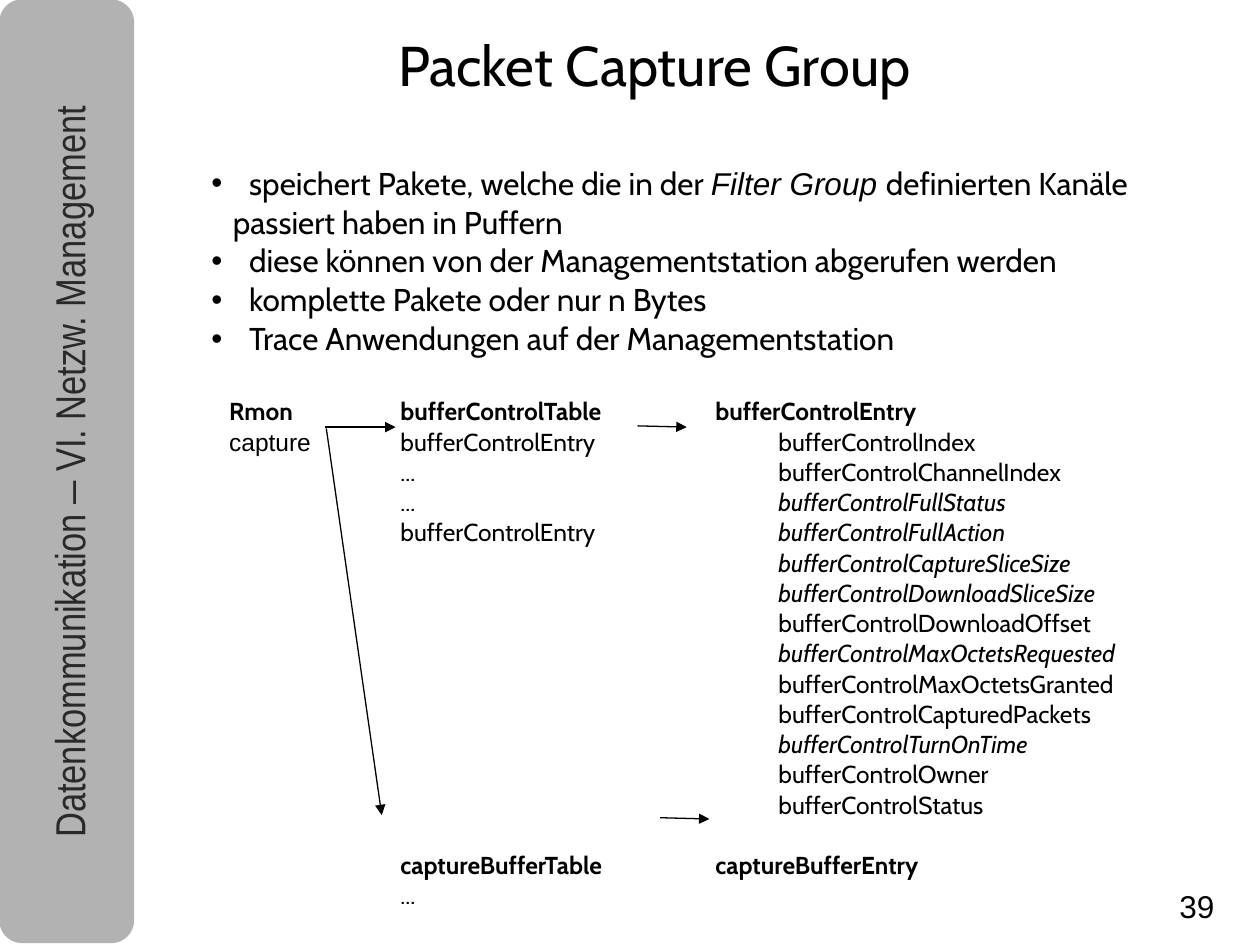
from dataclasses import dataclass

from lxml.etree import SubElement
from pptx import Presentation
from pptx.dml.color import RGBColor
from pptx.enum.shapes import MSO_CONNECTOR as Connector, MSO_SHAPE as Shape
from pptx.enum.text import MSO_ANCHOR as Anchor, PP_ALIGN as Align
from pptx.oxml.ns import qn
from pptx.util import Inches, Pt


@dataclass(frozen=True)
class Theme:
    """Colours, fonts and type sizes of the slide."""
    text: RGBColor = RGBColor(0x00, 0x00, 0x00)
    sidebar: RGBColor = RGBColor(0xB2, 0xB2, 0xB2)
    sidebar_text: RGBColor = RGBColor(0x29, 0x29, 0x29)
    font: str = "Cabin"
    plain_font: str = "Arial"
    narrow_font: str = "Arial Narrow"
    title_size: int = 32
    sidebar_size: int = 24
    body_size: int = 18
    row_size: int = 14
    line_width: float = 0.74
    line_spacing: float = 1.03


class SlideBuilder:
    """Adds styled elements to one slide."""

    def __init__(self, slide, theme):
        """Keep the slide and its theme."""
        self.slide = slide
        self.theme = theme

    def sidebar(self, left, top, width, height):
        """Add the rounded grey bar."""
        shape = self.slide.shapes.add_shape(
            Shape.ROUNDED_RECTANGLE, Inches(left), Inches(top), Inches(width), Inches(height))
        shape.shadow.inherit = False
        shape.fill.solid()
        shape.fill.fore_color.rgb = self.theme.sidebar
        shape.line.color.rgb = self.theme.sidebar
        shape.line.width = Pt(self.theme.line_width)

    def text_box(self, left, top, width, height, margins=(0.1, 0.05), anchor=Anchor.TOP):
        """Add an empty wrapping text box."""
        shape = self.slide.shapes.add_textbox(
            Inches(left), Inches(top), Inches(width), Inches(height))
        frame = shape.text_frame
        frame.word_wrap = True
        frame.vertical_anchor = anchor
        frame.margin_left = frame.margin_right = Inches(margins[0])
        frame.margin_top = frame.margin_bottom = Inches(margins[1])
        return shape

    def paragraph(self, shape, runs, size, font=None, color=None, align=Align.LEFT,
                  spacing=1.0, before=0):
        """Write runs of (text, font settings) into the next paragraph of a shape."""
        frame = shape.text_frame
        paragraph = frame.paragraphs[0]
        if paragraph.runs:
            paragraph = frame.add_paragraph()
        paragraph.alignment = align
        paragraph.line_spacing = spacing
        paragraph.space_before = Pt(before)
        paragraph.font.size = Pt(size)
        paragraph.font.name = font or self.theme.font
        paragraph.font.color.rgb = color or self.theme.text
        for text, settings in runs:
            run = paragraph.add_run()
            run.text = text
            # Runs repeat the paragraph font so that every viewer applies it.
            run.font.size = paragraph.font.size
            run.font.name = paragraph.font.name
            run.font.color.rgb = color or self.theme.text
            for name, value in settings.items():
                setattr(run.font, name, value)
        return paragraph

    def bullet(self, paragraph, indent):
        """Give a paragraph a round bullet with a hanging indent."""
        properties = paragraph._p.get_or_add_pPr()
        properties.set("marL", str(Inches(indent)))
        properties.set("indent", str(-Inches(indent)))
        SubElement(properties, qn("a:buFont"), typeface=self.theme.plain_font)
        SubElement(properties, qn("a:buChar"), char="•")
        self.settle(properties)

    def tab_stops(self, paragraph, stops):
        """Set left tab stops, in inches."""
        properties = paragraph._p.get_or_add_pPr()
        tabs = SubElement(properties, qn("a:tabLst"))
        for stop in stops:
            SubElement(tabs, qn("a:tab"), pos=str(Inches(stop)), algn="l")
        self.settle(properties)

    def settle(self, properties):
        """Move the default run properties to the end, where the schema wants them."""
        properties.append(properties.find(qn("a:defRPr")))

    def arrow(self, start, end):
        """Draw a thin line with an arrowhead at its end."""
        connector = self.slide.shapes.add_connector(
            Connector.STRAIGHT, *(Inches(value) for value in (*start, *end)))
        connector.line.color.rgb = self.theme.text
        connector.line.width = Pt(self.theme.line_width)
        SubElement(connector.line._get_or_add_ln(), qn("a:tailEnd"), type="triangle")
        SubElement(connector._element.spPr, qn("a:effectLst"))


BULLET_INDENT = 0.3
WRAP_INDENT = 0.17
COLUMNS = (0.14, 1.5, 4.0, 4.5)
ITALIC = {"italic": True}
BULLETS = (
    "diese können von der Managementstation abgerufen werden",
    "komplette Pakete oder nur n Bytes",
    "Trace Anwendungen auf der Managementstation",
)
# Group, table column, field name, whether the field is italic
ROWS = (
    ("capture", "bufferControlEntry", "Index", False),
    ("", "...", "ChannelIndex", False),
    ("", "...", "FullStatus", True),
    ("", "bufferControlEntry", "FullAction", True),
    ("", "", "CaptureSliceSize", True),
    ("", "", "DownloadSliceSize", True),
    ("", "", "DownloadOffset", False),
    ("", "", "MaxOctetsRequested", True),
    ("", "", "MaxOctetsGranted", False),
    ("", "", "CapturedPackets", False),
    ("", "", "TurnOnTime", True),
    ("", "", "Owner", False),
    ("", "", "Status", False),
)
ARROWS = (
    ((2.58, 3.39), (3.14, 3.39)),
    ((2.59, 3.4), (3.03, 6.47)),
    ((5.06, 3.38), (5.45, 3.39)),
    ((5.24, 6.49), (5.63, 6.5)),
)


def add_frame(builder):
    """Add sidebar, title and page number."""
    theme = builder.theme
    builder.sidebar(0, 0, 1.06, 7.48)
    label = builder.text_box(-2.93, 3.25, 7.48, 0.99)
    label.rotation = 270
    builder.paragraph(
        label,
        [("Datenkommunikation ", {}), ("–", {"name": theme.plain_font}),
         (" VI. Netzw. Management", {})],
        theme.sidebar_size, theme.narrow_font, theme.sidebar_text, Align.CENTER, 0.98)
    title = builder.text_box(2.89, 0.19, 4.61, 0.63, anchor=Anchor.MIDDLE)
    builder.paragraph(title, [("Packet Capture Group", {})], theme.title_size,
                      align=Align.CENTER)
    number = builder.text_box(9.36, 7.05, 0.5, 0.33, margins=(0, 0))
    builder.paragraph(number, [("39", {})], theme.body_size, theme.plain_font, spacing=0.99)


def add_bullets(builder, body):
    """Write the bulleted statements."""
    theme = builder.theme
    first = builder.paragraph(
        body,
        [("speichert Pakete, welche die in der ", {}),
         ("Filter Group ", {"name": theme.plain_font, "italic": True}),
         ("definierten Kanäle", {})],
        theme.body_size)
    builder.bullet(first, BULLET_INDENT)
    wrapped = builder.paragraph(body, [("passiert haben in Puffern", {})],
                                theme.body_size, spacing=theme.line_spacing)
    wrapped._p.get_or_add_pPr().set("marL", str(Inches(WRAP_INDENT)))
    for text in BULLETS:
        paragraph = builder.paragraph(body, [(text, {})], theme.body_size,
                                      spacing=theme.line_spacing)
        builder.bullet(paragraph, BULLET_INDENT)


def add_tables(builder, body):
    """Write the group, table and entry columns, aligned by tab stops."""
    theme = builder.theme

    def add_row(runs, before=0):
        """Add one tabbed line."""
        paragraph = builder.paragraph(body, runs, theme.row_size,
                                      spacing=theme.line_spacing, before=before)
        builder.tab_stops(paragraph, COLUMNS)

    bold = {"bold": True}
    add_row([("\tRmon\tbufferControlTable\tbufferControlEntry", bold)], before=22)
    for group, table, field, italic in ROWS:
        add_row([(f"\t{group}", {"name": theme.plain_font} if group else {}),
                 (f"\t{table}\t\t", {}),
                 (f"bufferControl{field}", ITALIC if italic else {})])
    add_row([("\t\tcaptureBufferTable\tcaptureBufferEntry", bold)], before=17)
    add_row([("\t\t...", {})])


def main():
    """Build and save the presentation."""
    presentation = Presentation()
    presentation.slide_width, presentation.slide_height = Inches(10), Inches(7.5)
    slide = presentation.slides.add_slide(presentation.slide_layouts[6])
    builder = SlideBuilder(slide, Theme())
    add_frame(builder)
    body = builder.text_box(1.58, 1.25, 8.4, 6.1)
    add_bullets(builder, body)
    add_tables(builder, body)
    for start, end in ARROWS:
        builder.arrow(start, end)
    presentation.save("out.pptx")


main()
